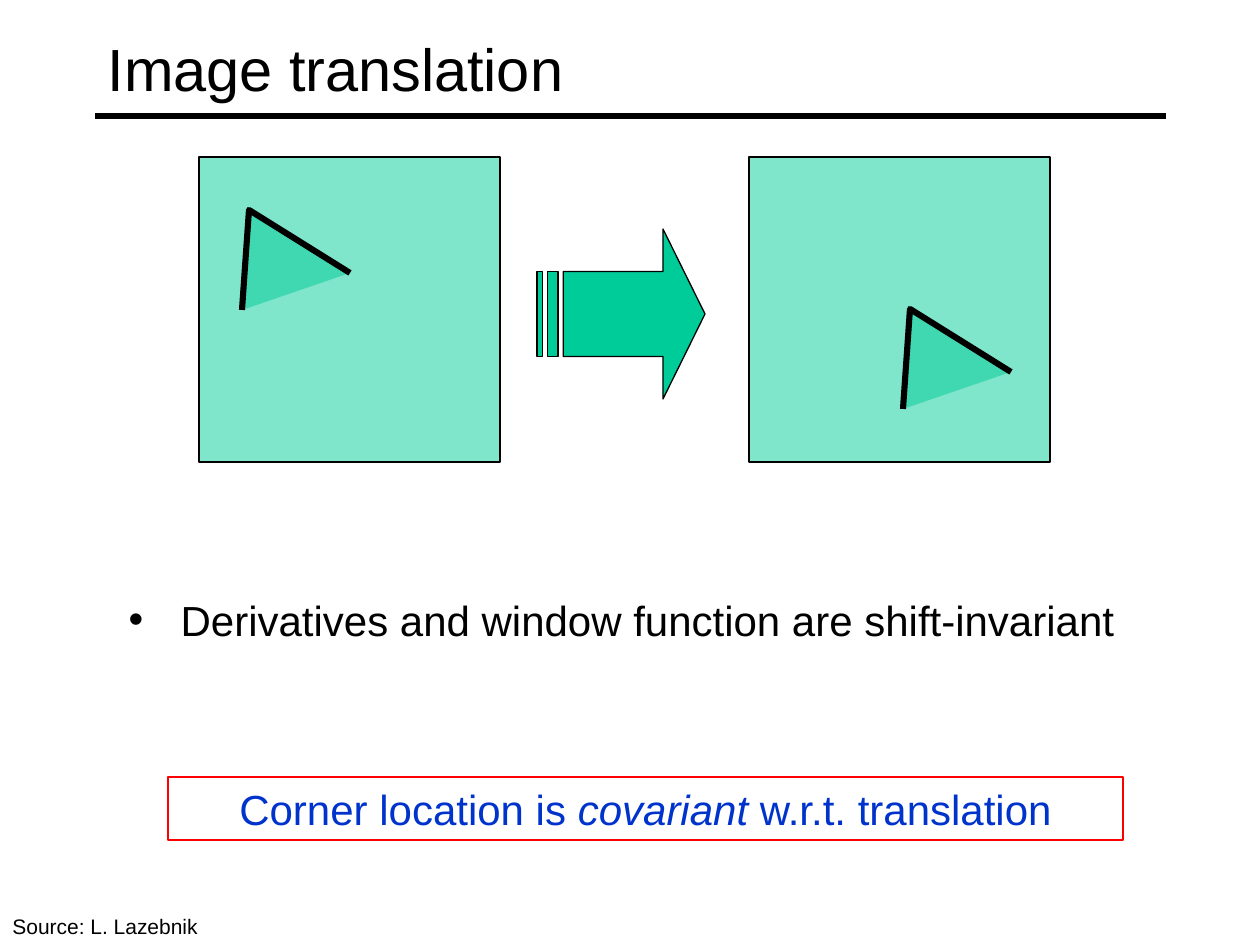
from lxml.etree import SubElement
from pptx import Presentation
from pptx.dml.color import RGBColor
from pptx.enum.shapes import MSO_CONNECTOR, MSO_SHAPE
from pptx.enum.text import MSO_ANCHOR, MSO_AUTO_SIZE, PP_ALIGN
from pptx.oxml.ns import qn
from pptx.util import Emu, Inches, Pt

PX = 914400 / 126
COLORS = {"ink": "000000", "green": "00CC99", "red": "FF0000", "blue": "0033CC"}

TITLE = "Image translation"
BULLET = "Derivatives and window function are shift-invariant"
CONCLUSION = [("Corner location is ", False), ("covariant ", True), ("w.r.t. translation", False)]
SOURCE = "Source: L. Lazebnik"

PANEL_TOP, PANEL_WIDTH, PANEL_HEIGHT = 157, 301, 305
CORNER = [(0, 100), (7, 0), (108, 63)]
PANELS = [
    {"left": 199, "corner": (242, 210)},
    {"left": 749, "corner": (903, 309)},
]


def px(*lengths):
    return [Emu(round(length * PX)) for length in lengths]


def color(name):
    return RGBColor.from_string(COLORS[name])


def paint(shape, fill, line, width, opacity=100):
    shape.shadow.inherit = False
    if fill:
        shape.fill.solid()
        shape.fill.fore_color.rgb = color(fill)
        if opacity < 100:
            tint = next(shape.fill._xPr.iter(qn("a:srgbClr")))
            SubElement(tint, qn("a:alpha"), val=str(opacity * 1000))
    else:
        shape.fill.background()
    shape.line.color.rgb = color(line)
    shape.line.width = Pt(width)


def style(font, size, name="ink"):
    font.name = "Arial"
    font.size = Pt(size)
    font.color.rgb = color(name)


def write(box, text, size, anchor=MSO_ANCHOR.TOP):
    frame = box.text_frame
    frame.text = text
    frame.word_wrap = True
    frame.auto_size = MSO_AUTO_SIZE.NONE
    frame.vertical_anchor = anchor
    para = frame.paragraphs[0]
    para.alignment = PP_ALIGN.LEFT
    para.space_before = Pt(0)
    style(para.runs[0].font, size)
    return para


def place(shape, *bounds):
    shape.left, shape.top, shape.width, shape.height = px(*bounds)


def add_panel(page, left, corner):
    square = page.shapes.add_shape(
        MSO_SHAPE.RECTANGLE, *px(left, PANEL_TOP, PANEL_WIDTH, PANEL_HEIGHT))
    paint(square, "green", "ink", 0.75, opacity=50)
    points = [(corner[0] + x, corner[1] + y) for x, y in CORNER]
    builder = page.shapes.build_freeform(*points[0], scale=PX)
    builder.add_line_segments(points[1:], close=False)
    wedge = builder.convert_to_shape()
    paint(wedge, "green", "ink", 3.5, opacity=50)
    SubElement(wedge.line._get_or_add_ln(), qn("a:round"))


def main():
    deck = Presentation()
    deck.slide_width, deck.slide_height = Inches(10), Inches(7.5)
    page = deck.slides.add_slide(deck.slide_layouts[1])

    rule = page.shapes.add_connector(MSO_CONNECTOR.STRAIGHT, *px(95, 116, 1166, 116))
    rule.line.color.rgb = color("ink")
    rule.line.width = Pt(3)
    SubElement(rule._element.spPr, qn("a:effectLst"))

    title = page.shapes.title
    place(title, 95, 10, 1071, 116)
    write(title, TITLE, 34, MSO_ANCHOR.MIDDLE)

    body = page.placeholders[1]
    place(body, 116, 588, 1061, 63)
    bullet = write(body, BULLET, 24)
    indent = px(52)[0]
    properties = bullet._p.get_or_add_pPr()
    properties.set("marL", str(indent))
    properties.set("indent", str(-indent))
    SubElement(properties, qn("a:buChar"), char="•")

    for panel in PANELS:
        add_panel(page, **panel)

    arrow = page.shapes.add_shape(MSO_SHAPE.STRIPED_RIGHT_ARROW, *px(537, 229, 168, 170))
    arrow.adjustments[0], arrow.adjustments[1] = 0.5, 0.25
    paint(arrow, "green", "ink", 0.75)

    conclusion = page.shapes.add_shape(MSO_SHAPE.RECTANGLE, *px(168, 777, 955, 63))
    paint(conclusion, None, "red", 0.75)
    conclusion.text_frame.vertical_anchor = MSO_ANCHOR.MIDDLE
    para = conclusion.text_frame.paragraphs[0]
    para.alignment = PP_ALIGN.CENTER
    for text, italic in CONCLUSION:
        span = para.add_run()
        span.text = text
        style(span.font, 24, "blue")
        span.font.italic = italic

    write(page.shapes.add_textbox(*px(0, 907, 243, 38)), SOURCE, 12)
    deck.save("out.pptx")


if __name__ == "__main__":
    main()
